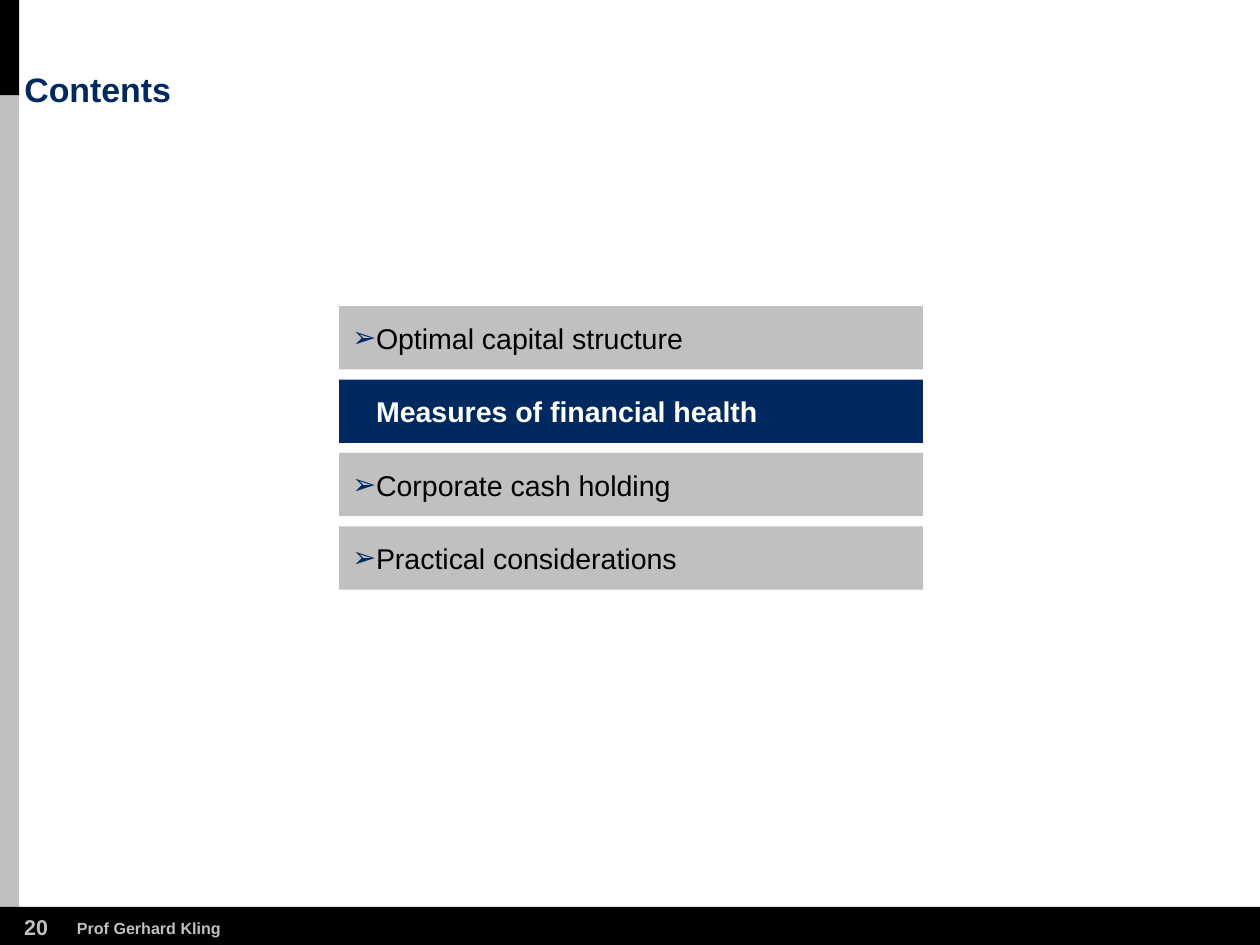
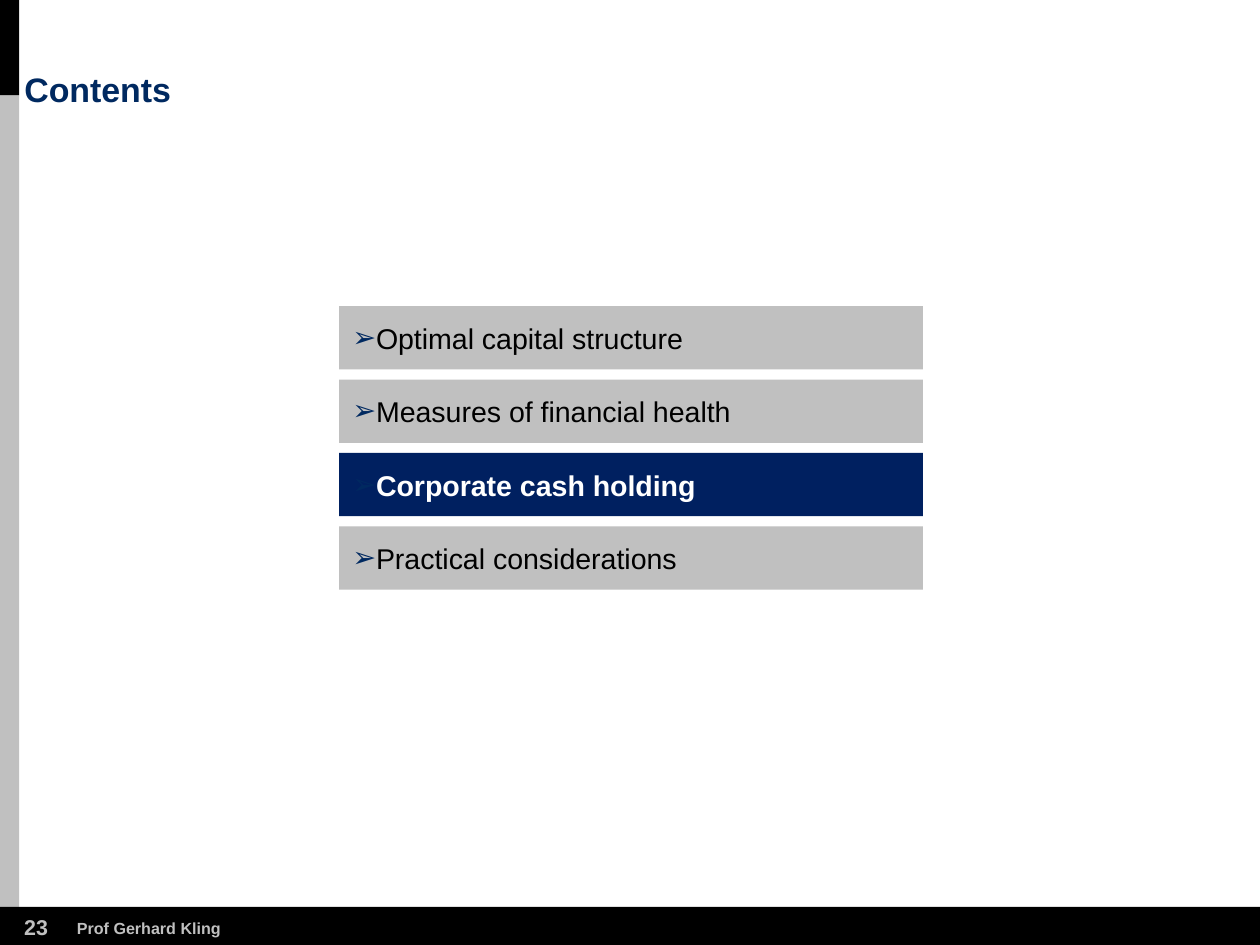
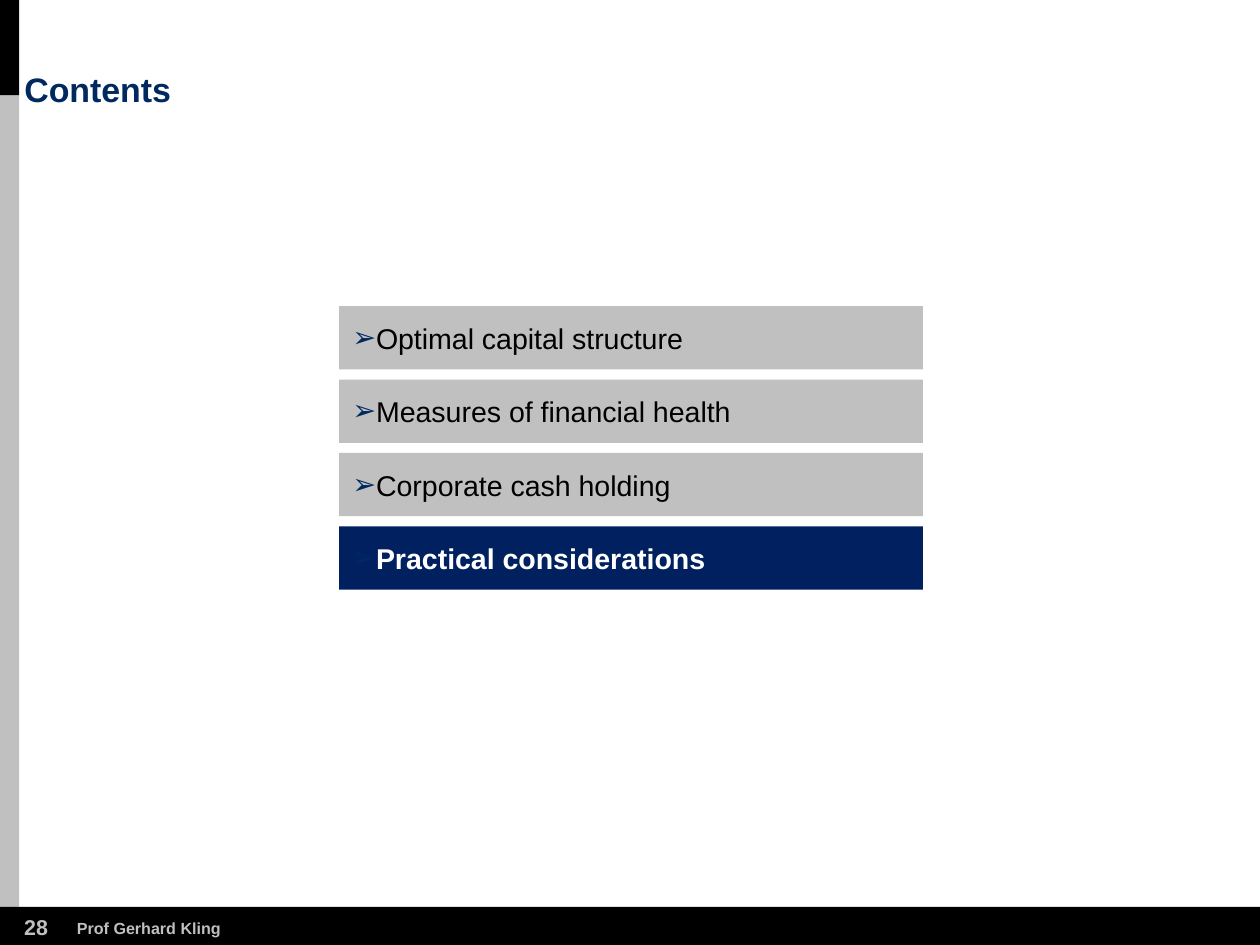
from dataclasses import dataclass

from lxml import etree
from pptx import Presentation
from pptx.dml.color import RGBColor
from pptx.enum.shapes import MSO_SHAPE, PP_PLACEHOLDER
from pptx.enum.text import MSO_ANCHOR, MSO_AUTO_SIZE, PP_ALIGN
from pptx.oxml import parse_xml
from pptx.oxml.ns import nsdecls, qn
from pptx.util import Cm, Pt

RECTANGLE = MSO_SHAPE.RECTANGLE
TITLE = PP_PLACEHOLDER.TITLE
LEFT = PP_ALIGN.LEFT
MIDDLE, BOTTOM = MSO_ANCHOR.MIDDLE, MSO_ANCHOR.BOTTOM
NO_AUTOFIT = MSO_AUTO_SIZE.NONE


@dataclass(frozen=True)
class Theme:
    font: str = "Arial"
    black: str = "000000"
    white: str = "FFFFFF"
    grey: str = "C0C0C0"
    navy: str = "002960"
    deep_navy: str = "002060"
    title_size: int = 19
    section_size: int = 16
    number_size: int = 12
    author_size: int = 9


THEME = Theme()
AUTHOR = "Prof Gerhard Kling"
SECTIONS = [
    "Optimal capital structure",
    "Measures of financial health",
    "Corporate cash holding",
    "Practical considerations",
]
# page number, index of the current section, its highlight colour
PAGES = [(20, 1, THEME.navy), (23, 2, THEME.deep_navy), (28, 3, THEME.deep_navy)]

# All lengths below are in centimetres
SLIDE_W, SLIDE_H = 24.89, 18.67
RAIL_W, RAIL_SPLIT, FOOTER_TOP = 0.38, 1.88, 17.92
MARGIN = 0.48
BAR_LEFT, BAR_TOP, BAR_W, BAR_H, BAR_PITCH = 6.7, 6.05, 11.53, 1.25, 1.45
BAR_INSET, BULLET_INDENT = 0.26, 0.41


def add_rectangle(slide, left, top, width, height, color):
    rectangle = slide.shapes.add_shape(
        RECTANGLE, Cm(left), Cm(top), Cm(width), Cm(height))
    rectangle.shadow.inherit = False
    rectangle.fill.solid()
    rectangle.fill.fore_color.rgb = RGBColor.from_string(color)
    rectangle.line.fill.background()
    return rectangle


def write_text(shape, text, size, color, bold, inset=0):
    """Fill a shape with one left-aligned, unwrapped line and return its paragraph."""
    frame = shape.text_frame
    frame.text = text
    frame.word_wrap = False
    frame.margin_left = Cm(inset)
    frame.margin_top = frame.margin_right = frame.margin_bottom = 0
    paragraph = frame.paragraphs[0]
    paragraph.alignment = LEFT
    font = paragraph.runs[0].font
    font.name, font.size, font.bold = THEME.font, Pt(size), bold
    font.color.rgb = RGBColor.from_string(color)
    return paragraph


prs = Presentation()
prs.slide_width, prs.slide_height = Cm(SLIDE_W), Cm(SLIDE_H)

# Shared layout: title style, with the unused footer placeholders removed
layout = prs.slide_layouts.get_by_name("Title Only")
for placeholder in list(layout.placeholders):
    if placeholder.placeholder_format.type != TITLE:
        layout.shapes.element.remove(placeholder.element)

layout_title = layout.placeholders[0]
layout_title.left, layout_title.top = Cm(MARGIN), Cm(1.47)
layout_title.width, layout_title.height = Cm(19.71), Cm(0.71)
title_frame = layout_title.text_frame
title_frame.margin_left = title_frame.margin_right = 0
title_frame.margin_top = title_frame.margin_bottom = 0
title_frame.vertical_anchor = BOTTOM
title_frame.auto_size = NO_AUTOFIT
layout_title.element.find(".//" + qn("a:lstStyle")).append(parse_xml(
    f'<a:lvl1pPr {nsdecls("a")} algn="l">'
    '<a:lnSpc><a:spcPct val="90000"/></a:lnSpc>'
    f'<a:defRPr sz="{THEME.title_size * 100}" b="1">'
    f'<a:solidFill><a:srgbClr val="{THEME.navy}"/></a:solidFill>'
    f'<a:latin typeface="{THEME.font}"/></a:defRPr></a:lvl1pPr>'))

slides = [prs.slides.add_slide(layout) for _ in PAGES]

# Bands are drawn on a slide, then moved behind the title of the layout
bands = [
    add_rectangle(slides[0], *band) for band in (
        (0, FOOTER_TOP, SLIDE_W, SLIDE_H - FOOTER_TOP, THEME.black),
        (0, 0, RAIL_W, RAIL_SPLIT, THEME.black),
        (0, RAIL_SPLIT, RAIL_W, FOOTER_TOP - RAIL_SPLIT, THEME.grey),
    )
]
for band in bands:
    layout.shapes.element.insert(2, band.element)

for slide, (number, current, highlight) in zip(slides, PAGES):
    slide.shapes.title.text_frame.text = "Contents"

    for text, left, top, width, height, size in (
        (str(number), MARGIN, 18.06, 0.5, 0.5, THEME.number_size),
        (AUTHOR, 1.52, 18.14, 2.87, 0.38, THEME.author_size),
    ):
        footer = slide.shapes.add_textbox(Cm(left), Cm(top), Cm(width), Cm(height))
        write_text(footer, text, size, THEME.grey, True)

    for index, section in enumerate(SECTIONS):
        active = index == current
        bar = add_rectangle(
            slide, BAR_LEFT, BAR_TOP + index * BAR_PITCH, BAR_W, BAR_H,
            highlight if active else THEME.grey)
        paragraph = write_text(
            bar, section, THEME.section_size,
            THEME.white if active else THEME.black, active, BAR_INSET)
        bar.text_frame.vertical_anchor = MIDDLE
        properties = paragraph._p.get_or_add_pPr()
        properties.set("marL", str(Cm(BULLET_INDENT)))
        properties.set("indent", str(-Cm(BULLET_INDENT)))
        bullet_color = etree.SubElement(properties, qn("a:buClr"))
        etree.SubElement(bullet_color, qn("a:srgbClr"), val=THEME.navy)
        etree.SubElement(properties, qn("a:buFont"), typeface=THEME.font)
        etree.SubElement(properties, qn("a:buChar"), char="➢")

prs.save("out.pptx")
